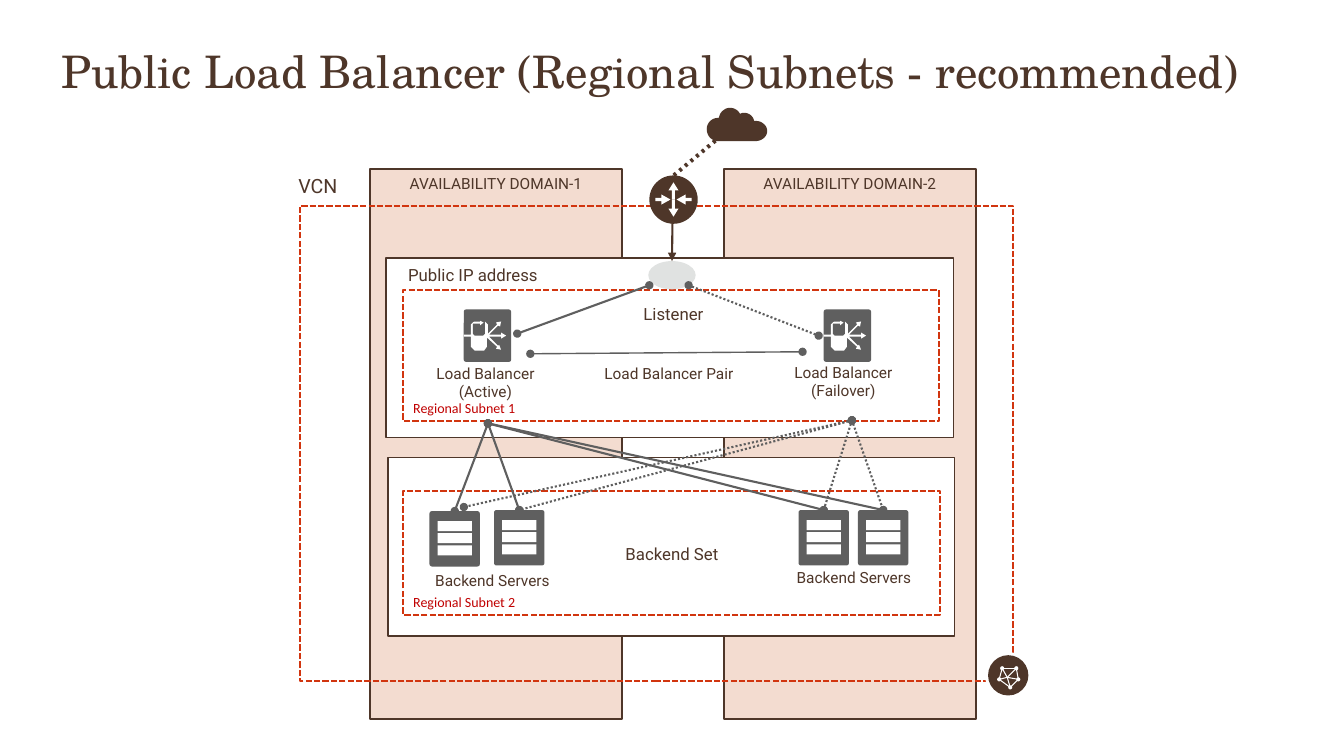
import dataclasses

import lxml.etree
import pptx
import pptx.dml.color
import pptx.enum.dml
import pptx.enum.shapes
import pptx.enum.text
import pptx.oxml.ns
import pptx.util

Inches = pptx.util.Inches
KIND = pptx.enum.shapes.MSO_SHAPE
DASH = pptx.enum.dml.MSO_LINE
ALIGN = pptx.enum.text.PP_ALIGN
ANCHOR = pptx.enum.text.MSO_ANCHOR


@dataclasses.dataclass(frozen=True)
class Theme:
    brown: str = "4E3629"
    peach: str = "F3DCD0"
    red: str = "D1350F"
    crimson: str = "C00000"
    gray: str = "5F5F5F"
    pale: str = "E0E2E1"
    white: str = "FFFFFF"
    sans: str = "Roboto"
    serif: str = "TeX Gyre Schola"
    plain: str = "Calibri"
    head: int = 32
    large: int = 14
    body: int = 12
    small: int = 11
    tiny: int = 10


T = Theme()
TANK = [(0, .25), (.07, .25), (.07, .15), (.11, .11), (.2, .11), (.24, .15), (.24, .24),
        (.33, .15), (.32, .13), (.37, .12), (.36, .17), (.34, .16), (.25, .25), (.37, .25),
        (.37, .23), (.42, .26), (.37, .29), (.37, .27), (.25, .27), (.34, .36), (.35, .35),
        (.37, .4), (.32, .39), (.33, .37), (.23, .28), (.23, .37), (.2, .41), (.11, .41),
        (.07, .37), (.07, .27), (0, .27)]
INLET = [(.09, .24), (.09, .14), (.16, .14), (.16, .16), (.2, .13), (.16, .11), (.16, .12),
         (.09, .12), (.09, .03), (.11, .01), (.19, .01), (.21, .03), (.21, .24), (.19, .26),
         (.11, .26)]
CLOUD = [(.49, .13), (.48, .13, .48, .13, .47, .13), (.46, .08, .42, .05, .37, .05),
         (.36, .05, .35, .05, .33, .06), (.31, .02, .27, 0, .23, 0),
         (.18, 0, .13, .04, .12, .1), (.11, .1), (.05, .1, 0, .15, 0, .21),
         (0, .28, .05, .33, .11, .33), (.49, .33), (.54, .33, .6, .29, .6, .23),
         (.6, .17, .54, .13, .49, .13)]
INWARD = [(-.18, -.015), (-.12, -.015), (-.12, -.05), (-.03, 0), (-.12, .05),
          (-.12, .015), (-.18, .015)]
UPWARD = [(-.015, 0), (-.015, -.09), (-.05, -.09), (0, -.17), (.05, -.09),
          (.015, -.09), (.015, 0)]


def color(code):
    return pptx.dml.color.RGBColor.from_string(code)


def paint(shape, fill=None, edge=None, width=1.5, dash=None):
    shape.shadow.inherit = False
    if fill:
        shape.fill.solid()
        shape.fill.fore_color.rgb = color(fill)
    else:
        shape.fill.background()
    if edge:
        shape.line.color.rgb = color(edge)
        shape.line.width = pptx.util.Pt(width)
        if dash:
            shape.line.dash_style = dash
    else:
        shape.line.fill.background()
    return shape


def block(slide, kind, box, fill=None, edge=None, **style):
    shape = slide.shapes.add_shape(kind, *map(Inches, box))
    return paint(shape, fill, edge, **style)


def disc(slide, x, y, size, fill):
    return block(slide, KIND.OVAL, (x - size / 2, y - size / 2, size, size), fill)


def panel(slide, box, fill, size):
    shape = block(slide, KIND.ROUNDED_RECTANGLE, box, fill)
    shape.adjustments[0] = size
    return shape


def write(shape, text, size, font=T.sans, ink=T.brown, align=ALIGN.CENTER,
          anchor=ANCHOR.TOP, wrap=True):
    frame = shape.text_frame
    frame.text = text
    frame.word_wrap = wrap
    frame.vertical_anchor = anchor
    for line in frame.paragraphs:
        line.alignment = align
        for run in line.runs:
            run.font.size = pptx.util.Pt(size)
            run.font.name = font
            run.font.color.rgb = color(ink)
    return frame


def label(slide, box, text, size=T.small, **style):
    return write(slide.shapes.add_textbox(*map(Inches, box)), text, size, **style)


def trace(points):
    last = points[0]
    for point in points[1:]:
        if len(point) == 2:
            yield point
        else:
            ax, ay, bx, by, cx, cy = point
            for step in range(1, 9):
                t = step / 8
                s = 1 - t
                yield (s**3 * last[0] + 3 * s * s * t * ax + 3 * s * t * t * bx + t**3 * cx,
                       s**3 * last[1] + 3 * s * s * t * ay + 3 * s * t * t * by + t**3 * cy)
        last = point[-2:]


def draw(slide, x, y, points, fill):
    def unit(point):
        return (x + point[0]) * 1000, (y + point[1]) * 1000
    pen = slide.shapes.build_freeform(*unit(points[0]), scale=Inches(1) / 1000)
    pen.add_line_segments([unit(point) for point in trace(points)], close=True)
    return paint(pen.convert_to_shape(), fill)


def link(slide, start, end, ink=T.gray, width=1.5, dash=None, head="oval", tail="oval"):
    ends = map(Inches, (*start, *end))
    line = slide.shapes.add_connector(pptx.enum.shapes.MSO_CONNECTOR.STRAIGHT, *ends)
    line.line.color.rgb = color(ink)
    line.line.width = pptx.util.Pt(width)
    if dash:
        line.line.dash_style = dash
    qn = pptx.oxml.ns.qn
    props = line._element.spPr
    for name, kind in (("a:headEnd", head), ("a:tailEnd", tail)):
        if kind:
            lxml.etree.SubElement(props.find(qn("a:ln")), qn(name), type=kind)
    lxml.etree.SubElement(props, qn("a:effectLst"))
    return line


def server(slide, x, y):
    body = panel(slide, (x, y, .5, .55), T.gray, .05)
    for row in range(3):
        block(slide, KIND.RECTANGLE, (x + .08, y + .1 + .12 * row, .34, .1), T.white)
    return body


def balance(slide, x, y):
    panel(slide, (x, y, .47, .52), T.gray, .05)
    draw(slide, x, y, TANK, T.white)
    draw(slide, x, y, INLET, T.gray)


def router(slide, x, y):
    disc(slide, x, y, .48, T.brown)
    for sign in (1, -1):
        for glyph in (INWARD, UPWARD):
            draw(slide, x, y, [(a * sign, b * sign) for a, b in glyph], T.white)


def mesh(slide, x, y):
    disc(slide, x, y, .46, T.white)
    disc(slide, x, y, .4, T.brown)
    nodes = [(x + a, y + b) for a, b in
             ((.1, .04), (.08, -.07), (-.06, -.07), (-.09, .04), (.02, .12))]
    for node, after in zip(nodes, nodes[1:] + nodes[:1]):
        for goal in (after, (x - .01, y + .02)):
            link(slide, node, goal, T.white, .75, head=None, tail=None)
        disc(slide, *node, .04, T.white)


def subnet(slide, box, text):
    shape = block(slide, KIND.RECTANGLE, box, edge=T.red, dash=DASH.SQUARE_DOT)
    write(shape, text, T.tiny, T.plain, T.crimson, ALIGN.LEFT, ANCHOR.BOTTOM)


def main():
    deck = pptx.Presentation()
    deck.slide_width, deck.slide_height = Inches(13.33), Inches(7.5)
    slide = deck.slides.add_slide(deck.slide_layouts[6])

    for i, x in enumerate((3.67, 7.18), 1):
        zone = block(slide, KIND.RECTANGLE, (x, 1.68, 2.5, 5.45), T.peach, T.brown)
        write(zone, f"AVAILABILITY DOMAIN-{i}", T.small)
    block(slide, KIND.RECTANGLE, (2.98, 2.04, 7.07, 4.72), edge=T.red, dash=DASH.SQUARE_DOT)
    mesh(slide, 10, 6.7)
    label(slide, (2.86, 1.68, .79, .34), "VCN", T.large, align=ALIGN.LEFT)

    draw(slide, 7.01, 1.07, CLOUD, T.brown)
    for i in range(8):
        dot = block(slide, KIND.RECTANGLE,
                    (6.68 + .0557 * i, 1.71 - .0464 * i, .03, .04), T.brown)
        dot.rotation = -40
    router(slide, 6.68, 1.98)

    block(slide, KIND.RECTANGLE, (3.85, 4.54, 5.62, 1.77), T.white, T.brown, width=1)
    subnet(slide, (4, 4.87, 5.32, 1.23), "Regional Subnet 2")
    hosts = [server(slide, x, y) for x, y in
             ((4.26, 5.07), (4.9, 5.06), (7.92, 5.06), (8.51, 5.06))]
    label(slide, (3.99, 5.62, 1.79, .29), "Backend Servers")
    label(slide, (6, 5.35, 1.33, .3), "Backend Set", T.body)
    label(slide, (7.67, 5.59, 1.6, .29), "Backend Servers")

    block(slide, KIND.RECTANGLE, (3.83, 2.56, 5.63, 1.78), T.white, T.brown, width=1)
    subnet(slide, (4, 2.88, 5.31, 1.3), "Regional Subnet 1")
    for x in (4.6, 8.17):
        balance(slide, x, 3.07)
    front = block(slide, KIND.OVAL, (6.43, 2.59, .47, .28), T.pale)
    label(slide, (4.17, 3.56, 1.29, .47), "Load Balancer\n(Active)")
    label(slide, (7.72, 3.55, 1.29, .47), "Load Balancer (Failover)")
    label(slide, (6.18, 2.96, 1, .3), "Listener", T.body)
    label(slide, (3.95, 2.58, 1.66, .3), "Public IP address", T.body, align=ALIGN.LEFT)

    link(slide, (5.13, 3.31), (6.44, 2.83))
    link(slide, (6.83, 2.83), (8.12, 3.33), dash=DASH.ROUND_DOT)
    for hub, dash in (((4.84, 4.2), None), ((8.45, 4.17), DASH.ROUND_DOT)):
        for host in hosts:
            if dash and host is hosts[0]:
                link(slide, hub, (4.6, 5.03), dash=dash)
            else:
                link(slide, hub, hub, dash=dash).end_connect(host, 0)
    link(slide, (6.67, 2.2), (6.67, 2.6), T.brown, head=None,
         tail="triangle").end_connect(front, 0)

    title = label(slide, (.61, .46, 12.56, .54),
                  "Public Load Balancer (Regional Subnets - recommended)", T.head,
                  font=T.serif, align=ALIGN.LEFT, anchor=ANCHOR.MIDDLE)
    title.margin_left = title.margin_right = 0
    pair = block(slide, KIND.RECTANGLE, (5.89, 3.58, 1.49, .27), T.white)
    note = write(pair, "Load Balancer Pair", T.small, anchor=ANCHOR.MIDDLE, wrap=False)
    note.margin_left = note.margin_right = note.margin_top = note.margin_bottom = 0
    for frame in (title, note):
        frame.paragraphs[0].line_spacing = .9
    link(slide, (5.26, 3.51), (7.96, 3.49), width=1)
    deck.save("out.pptx")


if __name__ == "__main__":
    main()
